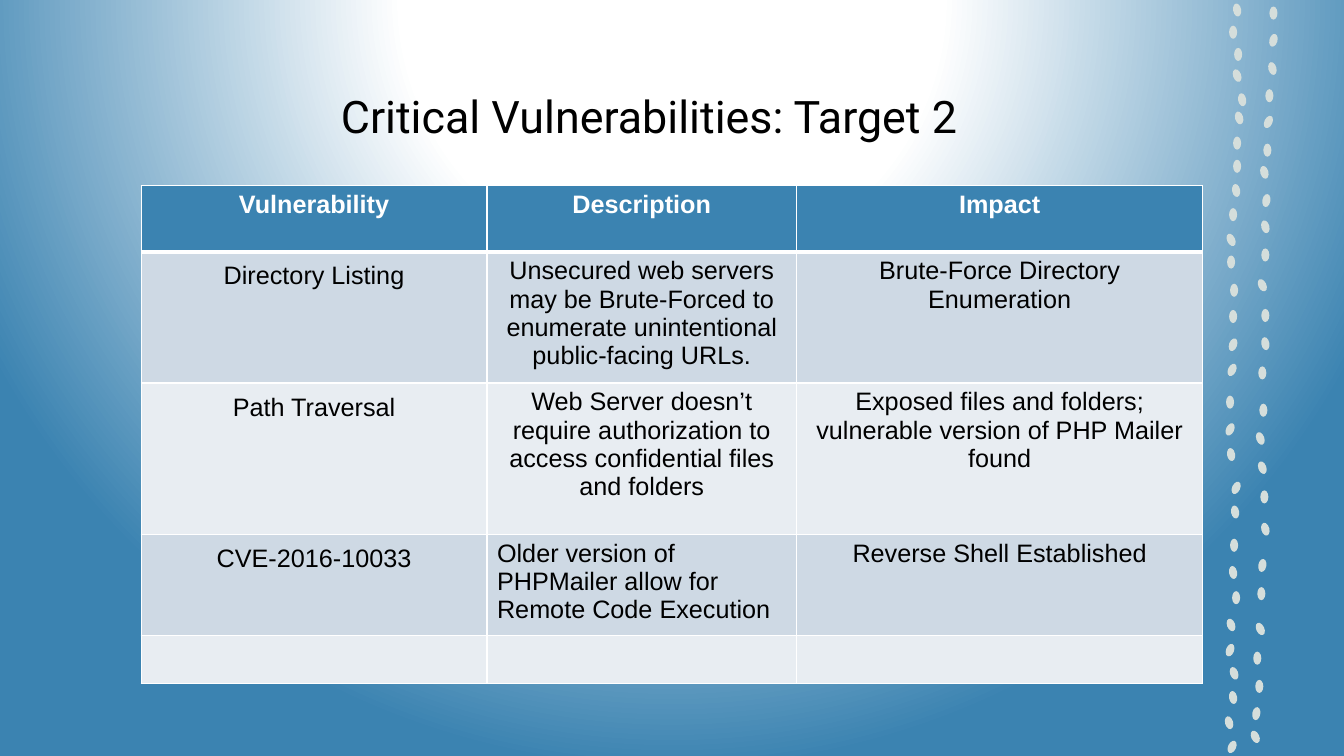
from lxml import etree
from pptx import Presentation
from pptx.dml.color import RGBColor
from pptx.enum.shapes import MSO_SHAPE
from pptx.enum.text import MSO_ANCHOR, PP_ALIGN
from pptx.oxml import parse_xml
from pptx.oxml.ns import nsdecls, qn
from pptx.util import Inches, Pt

OVAL = MSO_SHAPE.OVAL
MIDDLE, TOP = MSO_ANCHOR.MIDDLE, MSO_ANCHOR.TOP
CENTER, LEFT = PP_ALIGN.CENTER, PP_ALIGN.LEFT

# Content
TITLE = "Critical Vulnerabilities: Target 2"
ROWS = [
    ("Vulnerability", "Description", "Impact"),
    ("Directory Listing",
     "Unsecured web servers may be Brute-Forced to enumerate unintentional public-facing URLs.",
     "Brute-Force Directory Enumeration"),
    ("Path Traversal",
     "Web Server doesn’t require authorization to access confidential files and folders",
     "Exposed files and folders; vulnerable version of PHP Mailer found"),
    ("CVE-2016-10033",
     "Older version of PHPMailer allow for Remote Code Execution",
     "Reverse Shell Established"),
    ("", "", ""),
]
LEFT_ALIGNED = {(3, 1)}

# Hand-drawn dots of the two trails: centre x, centre y, tilt in degrees
DOTS = [
    # Right trail
    (12.63, 0.13, 0), (12.63, 0.40, 15), (12.62, 0.68, -15), (12.59, 0.95, 0),
    (12.58, 1.21, 25), (12.57, 1.49, 0), (12.54, 1.71, -15), (12.56, 1.99, 10),
    (12.55, 2.25, -15), (12.55, 2.53, 0), (12.52, 2.83, -25), (12.55, 3.13, 0),
    (12.55, 3.41, -10), (12.52, 3.70, 0), (12.53, 4.07, 0), (12.50, 4.35, -20),
    (12.52, 4.64, -20), (12.54, 4.93, 0), (12.55, 5.25, -15), (12.52, 5.61, 10),
    (12.51, 5.89, 0), (12.50, 6.24, -25), (12.47, 6.53, 0), (12.49, 6.81, 0),
    (12.46, 7.08, 10), (12.45, 7.31, -25),
    # Left trail
    (12.27, 0.10, -10), (12.23, 0.32, 0), (12.28, 0.54, 0), (12.27, 0.75, -20),
    (12.32, 0.99, -10), (12.29, 1.17, -15), (12.27, 1.42, 0), (12.27, 1.65, 0),
    (12.26, 1.89, -10), (12.23, 2.13, 0), (12.21, 2.38, -25), (12.21, 2.60, 0),
    (12.24, 2.88, 0), (12.23, 3.14, 0), (12.23, 3.42, 20), (12.22, 3.67, 25),
    (12.20, 3.99, 0), (12.20, 4.26, 25), (12.21, 4.51, -10), (12.26, 4.84, 25),
    (12.25, 5.08, -10), (12.24, 5.41, 0), (12.23, 5.68, -10), (12.26, 5.93, 0),
    (12.21, 6.20, -20), (12.24, 6.68, -20), (12.20, 6.45, 20), (12.23, 6.92, -10),
    (12.19, 7.17, -15), (12.22, 7.41, 25),
]

# Layout in inches
SLIDE_SIZE = (13.33, 7.5)
TITLE_BOX = (1.17, 0.55, 10.54, 1.2)
TABLE_AT = (1.4, 1.84)
COLUMNS = (3.43, 3.07, 4.03)
ROW_HEIGHTS = (0.66, 1.23, 1.5, 0.94, 0.48)
DOT_SIZE = (0.08, 0.13)
FIRST_COLUMN_INSET = 0.1


class Theme:
    white, black, blue, dot = "FFFFFF", "000000", "3B83B1", "D5DEDB"
    bands = ("CED9E4", "E8EDF2")
    title_font, table_font = "Roboto", "Arial"
    title_size, table_size = 32, 18
    thin_line, header_line = 1, 3


def rgb(value):
    return RGBColor.from_string(value)


def write(paragraph, text, font, size, color, alignment, bold=False):
    paragraph.alignment = alignment
    run = paragraph.add_run()
    run.text = text
    run.font.name = font
    run.font.size = Pt(size)
    run.font.bold = bold
    run.font.color.rgb = rgb(color)


def paint_background(slide):
    """White glow from above the slide, fading to blue."""
    slide.background.fill.solid()
    solid = slide.background._cSld.find(".//" + qn("a:solidFill"))
    stops = "".join(
        f'<a:gs pos="{share * 1000}"><a:srgbClr val="{color}"/></a:gs>'
        for share, color in ((0, Theme.white), (35, Theme.white), (100, Theme.blue)))
    gradient = parse_xml(
        f'<a:gradFill {nsdecls("a")} rotWithShape="1"><a:gsLst>{stops}</a:gsLst>'
        '<a:path path="circle"><a:fillToRect l="50000" t="-80000" r="50000" b="180000"/>'
        '</a:path></a:gradFill>')
    solid.getparent().replace(solid, gradient)


def add_dots(slide):
    width, height = DOT_SIZE
    for x, y, tilt in DOTS:
        dot = slide.shapes.add_shape(OVAL, Inches(x - width / 2), Inches(y - height / 2),
                                     Inches(width), Inches(height))
        dot.rotation = tilt
        dot.shadow.inherit = False
        dot.fill.solid()
        dot.fill.fore_color.rgb = rgb(Theme.dot)
        dot.line.fill.background()


def add_title(slide):
    frame = slide.shapes.add_textbox(*map(Inches, TITLE_BOX)).text_frame
    frame.word_wrap = True
    frame.vertical_anchor = MIDDLE
    write(frame.paragraphs[0], TITLE, Theme.title_font, Theme.title_size,
          Theme.black, CENTER)


def set_borders(cell, top, bottom):
    properties = cell._tc.get_or_add_tcPr()
    sides = (("L", Theme.thin_line), ("R", Theme.thin_line), ("T", top), ("B", bottom))
    for position, (side, points) in enumerate(sides):
        line = etree.Element(qn(f"a:ln{side}"), w=str(Pt(points)))
        fill = etree.SubElement(line, qn("a:solidFill"))
        etree.SubElement(fill, qn("a:srgbClr"), val=Theme.white)
        properties.insert(position, line)


def add_vulnerability_table(slide):
    size = (sum(COLUMNS), sum(ROW_HEIGHTS))
    table = slide.shapes.add_table(len(ROWS), len(COLUMNS),
                                   *map(Inches, TABLE_AT + size)).table
    for column, width in zip(table.columns, COLUMNS):
        column.width = Inches(width)
    for row, height in zip(table.rows, ROW_HEIGHTS):
        row.height = Inches(height)
    for r, texts in enumerate(ROWS):
        header = r == 0
        for c, text in enumerate(texts):
            cell = table.cell(r, c)
            cell.vertical_anchor = TOP
            cell.fill.solid()
            cell.fill.fore_color.rgb = rgb(Theme.blue if header else Theme.bands[(r - 1) % 2])
            set_borders(cell, Theme.header_line if r == 1 else Theme.thin_line,
                        Theme.header_line if header else Theme.thin_line)
            if not text:
                continue
            if c == 0 and not header:
                cell.margin_top = cell.margin_bottom = Inches(FIRST_COLUMN_INSET)
            write(cell.text_frame.paragraphs[0], text, Theme.table_font, Theme.table_size,
                  Theme.white if header else Theme.black,
                  LEFT if (r, c) in LEFT_ALIGNED else CENTER, header)


def main():
    presentation = Presentation()
    presentation.slide_width, presentation.slide_height = map(Inches, SLIDE_SIZE)
    slide = presentation.slides.add_slide(presentation.slide_layouts[6])
    paint_background(slide)
    add_dots(slide)
    add_title(slide)
    add_vulnerability_table(slide)
    presentation.save("out.pptx")


if __name__ == "__main__":
    main()
